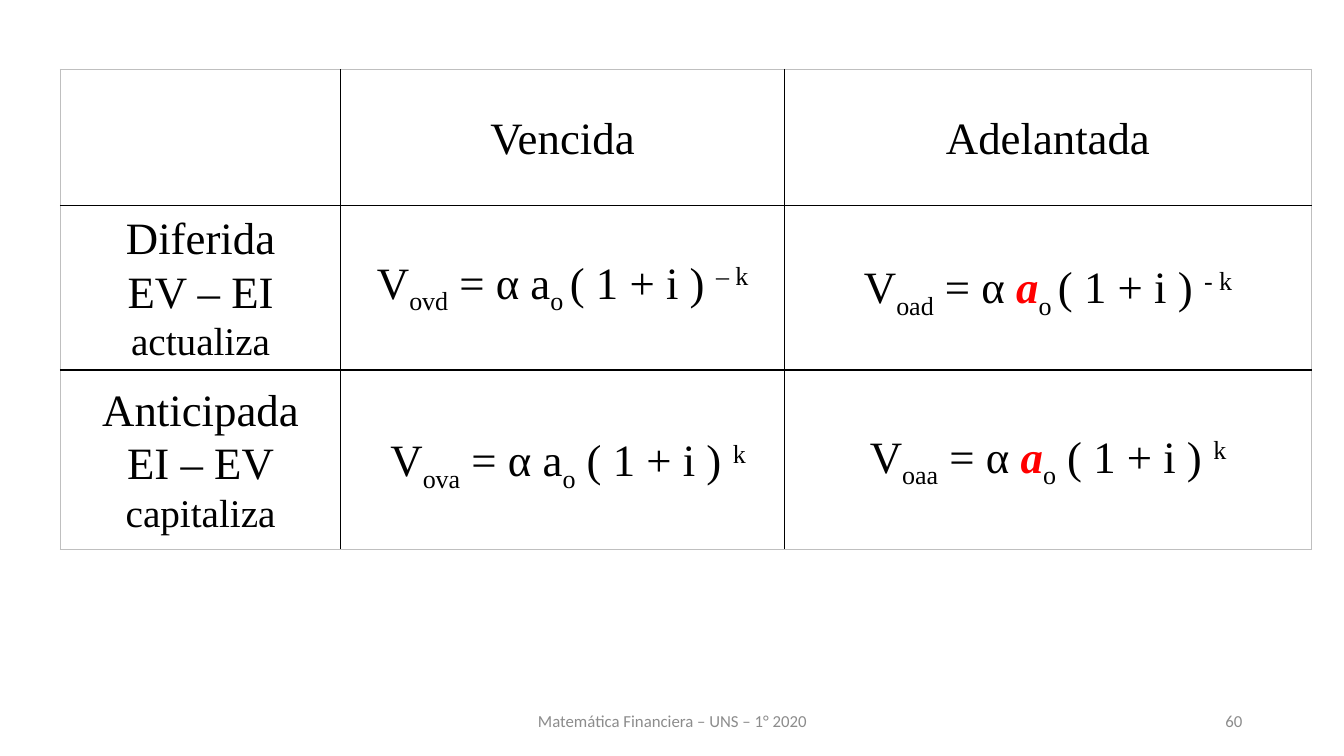
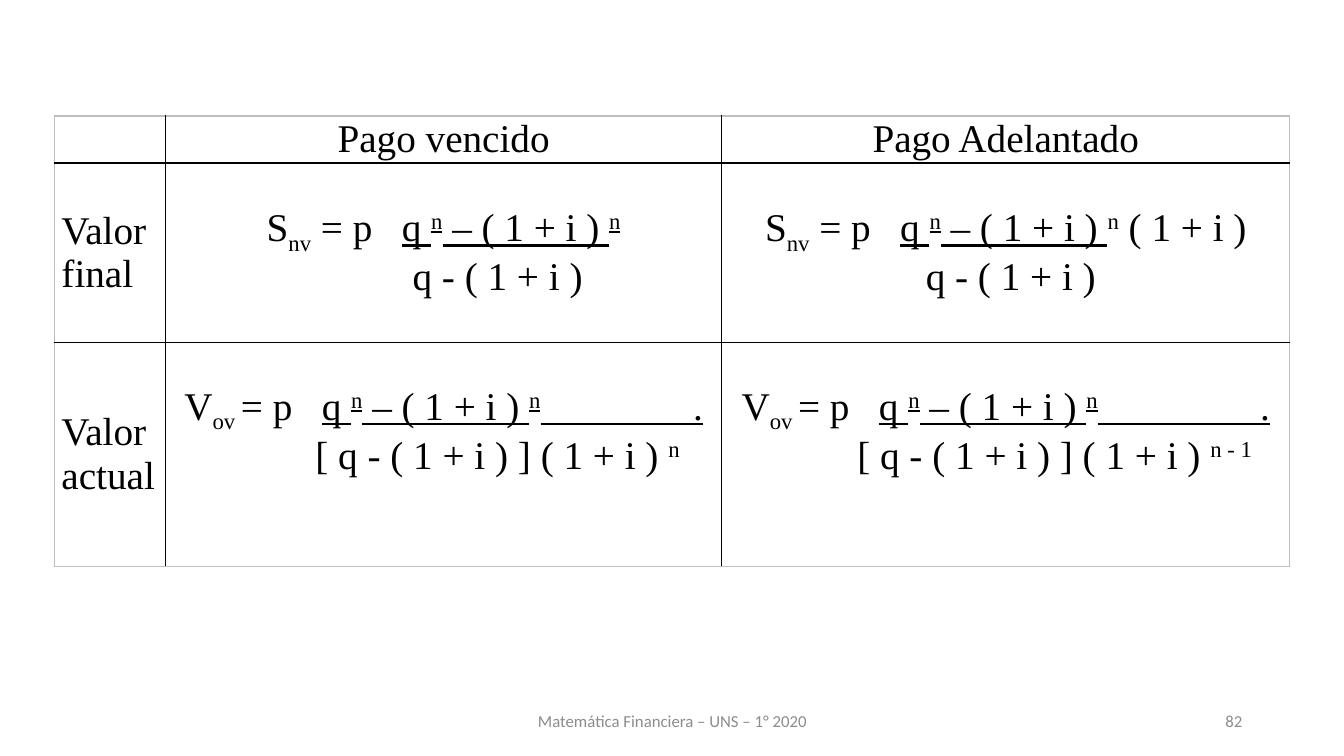
from dataclasses import dataclass

from lxml import etree
from pptx import Presentation
from pptx.dml.color import RGBColor
from pptx.enum import text
from pptx.oxml import ns
from pptx.util import Inches, Pt


@dataclass(frozen=True)
class Theme:
    ink: str = "000000"
    accent: str = "FF0000"
    paper: str = "FFFFFF"
    frame: str = "BFBFBF"
    muted: str = "8C8C8C"
    serif: str = "Times New Roman"
    sans: str = "Calibri"
    large: int = 32
    medium: int = 28
    small: int = 12


THEME = Theme()
CENTER, LEFT, RIGHT = text.PP_ALIGN.CENTER, text.PP_ALIGN.LEFT, text.PP_ALIGN.RIGHT
MIDDLE = text.MSO_ANCHOR.MIDDLE
SUB, SUP = {"baseline": "-25000"}, {"baseline": "30000"}
BAR = {"u": "sng"}
BAR_SUP = BAR | SUP
STRONG = {"b": "1", "i": "1", "color": THEME.accent}
GAP = {"spc": "700"}


def add_line(box, first, spans, size, font=THEME.serif, color=THEME.ink, indent=0, **layout):
    para = box.paragraphs[0] if first else box.add_paragraph()
    for name, value in layout.items():
        setattr(para, name, value)
    if indent:
        para._p.get_or_add_pPr().set("marL", str(Inches(indent)))
    for content, marks in spans:
        span = para.add_run()
        span.text = content
        settings = {"size": Pt(size), "name": font}
        for name, value in settings.items():
            setattr(span.font, name, value)
        span.font.color.rgb = RGBColor.from_string(marks.get("color", color))
        for name, value in marks.items():
            if name != "color":
                span._r.get_or_add_rPr().set(name, value)


def set_border(cell, side, color):
    properties = cell._tc.get_or_add_tcPr()
    line = etree.SubElement(properties, ns.qn("a:ln" + side), w=str(Pt(1)))
    fill = etree.SubElement(line, ns.qn("a:solidFill"))
    etree.SubElement(fill, ns.qn("a:srgbClr"), val=color)


def_large = {"size": THEME.large, "alignment": CENTER, "line_spacing": 1.07}
def_medium = {"size": THEME.medium, "alignment": CENTER}
label_medium = def_medium | {"alignment": LEFT}
large_single = def_large | {"line_spacing": 1.0}
large_spaced = def_large | {"line_spacing": 1.2, "space_after": Pt(6), "indent": 0.11}

plain = {}
power = [("q ", BAR), ("n", BAR_SUP), (" – ( 1 + i ) ", BAR)]
final_start = [("S", plain), ("nv", SUB), (" = ", plain), ("p ", GAP)] + power
actual_start = [("V", plain), ("ov ", SUB), ("= ", plain), ("p ", GAP)] + power + [("n", BAR_SUP)]
final_base = [("q - ( 1 + i )", plain)]
actual_base = [("[ q - ( 1 + i ) ] ( 1 + i ) ", plain)]

deferred_labels = [
    [([(words, plain)], def_large | {"size": size})
     for words, size in zip(labels, (THEME.large, THEME.large, THEME.medium))]
    for labels in (("Diferida", "EV – EI", "actualiza"), ("Anticipada", "EI – EV", "capitaliza"))
]

pages = [
    {
        "number": "60",
        "at": (0.6, 0.69),
        "columns": (2.78, 4.4, 5.23),
        "rows": (1.35, 1.63, 1.78),
        "insets": {(1, 2): {"margin_top": 0.09}},
        "cells": [
            [[], [([("Vencida", plain)], def_large)], [([("Adelantada", plain)], def_large)]],
            [
                deferred_labels[0],
                [([("V", plain), ("ovd", SUB), (" = α a", plain), ("o ", SUB),
                   ("( 1 + i ) ", plain), ("– k", SUP)], large_single)],
                [([("V", plain), ("oad", SUB), (" = α ", plain), ("a", STRONG), ("o ", SUB),
                   ("( 1 + i ) ", plain), ("- k", SUP)], large_single)],
            ],
            [
                deferred_labels[1],
                [([("V", plain), ("ova", SUB), (" = α a", plain), ("o", SUB),
                   (" ( 1 + i ) ", plain), ("k", SUP)], large_spaced)],
                [([("V", plain), ("oaa", SUB), (" = α ", plain), ("a", STRONG), ("o", SUB),
                   (" ( 1 + i ) ", plain), ("k", SUP)], def_large)],
            ],
        ],
    },
    {
        "number": "82",
        "at": (0.54, 1.15),
        "columns": (1.1, 5.52, 5.63),
        "rows": (0.43, 1.78, 2.22),
        "insets": {(2, column): {"margin_bottom": 0.45} for column in (1, 2)},
        "cells": [
            [[], [([("Pago vencido", plain)], def_medium)],
             [([("Pago Adelantado", plain)], def_medium)]],
            [
                [([("Valor final", plain)], label_medium)],
                [(final_start + [("n", BAR_SUP)], def_medium),
                 (final_base, def_medium | {"indent": 1.07})],
                [(final_start + [("n", SUP), (" ( 1 + i )", plain)], def_medium),
                 (final_base, def_medium | {"indent": 0.1})],
            ],
            [
                [([("Valor actual", plain)], label_medium)],
                [(actual_start + [(" .", BAR | {"spc": "10200"})], def_medium),
                 (actual_base + [("n", SUP)], def_medium | {"indent": 1.07})],
                [(actual_start + [(" .", BAR | {"spc": "10900"})], def_medium),
                 (actual_base + [("n - 1", SUP)], def_medium | {"indent": 0.97})],
            ],
        ],
    },
]

deck = Presentation()
deck.slide_width, deck.slide_height = Inches(13.33), Inches(7.5)

for content in pages:
    page = deck.slides.add_slide(deck.slide_layouts[6])
    columns, rows = content["columns"], content["rows"]
    bounds = (*content["at"], sum(columns), sum(rows))
    table = page.shapes.add_table(len(rows), len(columns), *map(Inches, bounds)).table
    table.first_row = table.horz_banding = False
    for column, width in zip(table.columns, columns):
        column.width = Inches(width)
    for row, height in zip(table.rows, rows):
        row.height = Inches(height)

    for row, line in enumerate(content["cells"]):
        for column, lines in enumerate(line):
            cell = table.cell(row, column)
            outer = {"L": column == 0, "R": column == len(columns) - 1,
                     "T": row == 0, "B": row == len(rows) - 1}
            for side, is_outer in outer.items():
                set_border(cell, side, THEME.frame if is_outer else THEME.ink)
            cell.fill.solid()
            cell.fill.fore_color.rgb = RGBColor.from_string(THEME.paper)
            cell.vertical_anchor = MIDDLE
            insets = {"margin_left": 0.07, "margin_right": 0.07, "margin_top": 0, "margin_bottom": 0}
            for name, value in (insets | content["insets"].get((row, column), {})).items():
                setattr(cell, name, Inches(value))
            for order, (spans, layout) in enumerate(lines):
                add_line(cell.text_frame, order == 0, spans, **layout)

    footers = [
        (4.42, 4.5, "Matemática Financiera – UNS – 1° 2020", CENTER),
        (9.42, 3, content["number"], RIGHT),
    ]
    for left, width, words, alignment in footers:
        box = page.shapes.add_textbox(*map(Inches, (left, 6.95, width, 0.4))).text_frame
        box.word_wrap = True
        box.vertical_anchor = MIDDLE
        add_line(box, True, [(words, plain)], THEME.small, THEME.sans, THEME.muted,
                 alignment=alignment)

deck.save("out.pptx")
